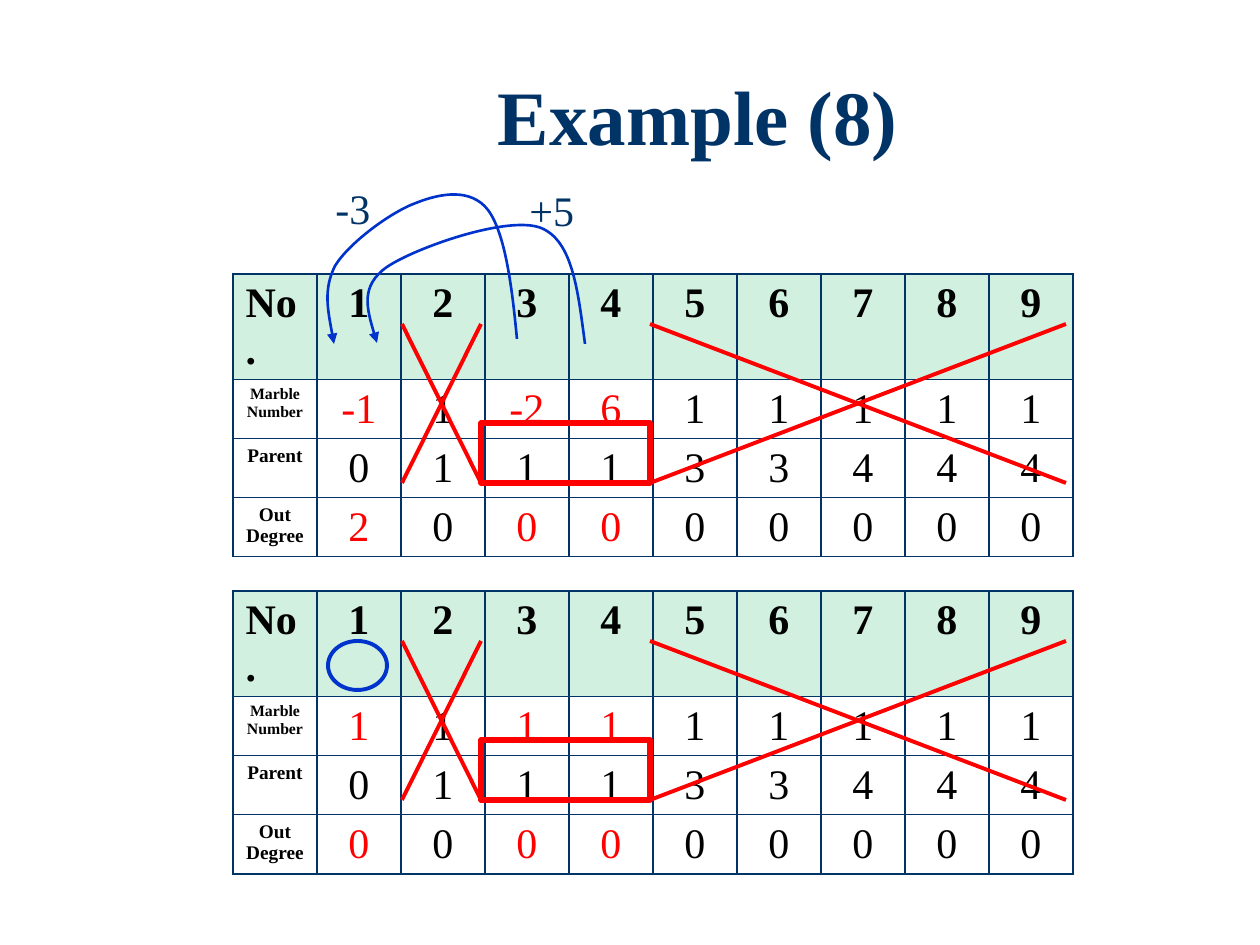
from dataclasses import dataclass

from lxml.etree import SubElement
from pptx import Presentation
from pptx.dml.color import RGBColor
from pptx.enum.shapes import MSO_CONNECTOR, MSO_SHAPE
from pptx.enum.text import MSO_ANCHOR, MSO_AUTO_SIZE, PP_ALIGN
from pptx.oxml.ns import qn
from pptx.slide import Slide
from pptx.util import Pt

EMU_PER_PX = 914400 / 126
STRAIGHT = MSO_CONNECTOR.STRAIGHT
RECTANGLE, OVAL = MSO_SHAPE.RECTANGLE, MSO_SHAPE.OVAL
LEFT, CENTER = PP_ALIGN.LEFT, PP_ALIGN.CENTER
TOP = MSO_ANCHOR.TOP
FIT_SHAPE, NO_FIT = MSO_AUTO_SIZE.SHAPE_TO_FIT_TEXT, MSO_AUTO_SIZE.NONE
Point = tuple[int, int]


@dataclass(frozen=True)
class Theme:
    font: str = "Times New Roman"
    navy: str = "003366"
    blue: str = "0033CC"
    red: str = "FF0000"
    black: str = "000000"
    white: str = "FFFFFF"
    mint: str = "D1F0E0"
    title_size: int = 44
    text_size: int = 24
    label_size: int = 11
    small_label_size: int = 9


@dataclass(frozen=True)
class Row:
    label: str
    label_size: int
    values: tuple[int, ...]
    red_columns: tuple[int, ...] = ()
    is_header: bool = False


@dataclass(frozen=True)
class Step:
    top: int
    marbles: tuple[int, ...]
    root_degree: int


@dataclass(frozen=True)
class Move:
    label: str
    label_box: tuple[int, int, int, int]
    start: Point
    curves: tuple[tuple[Point, Point, Point], ...]


THEME = Theme()
TABLE_LEFT, COLUMN_WIDTH, ROW_HEIGHT = 233, 84, 53
CHANGED_COLUMNS = (1, 3, 4)
NODES = tuple(range(1, 10))
PARENTS = (0, 1, 1, 1, 3, 3, 4, 4, 4)
STEPS = (
    Step(274, (-1, 1, -2, 6, 1, 1, 1, 1, 1), 2),
    Step(591, (1,) * 9, 0),
)
CROSSED_SPANS = ((650, 1066), (402, 481))
CROSS_TOP, CROSS_HEIGHT = 50, 159
MOVES = (
    Move("+5", (517, 178, 71, 63), (585, 344), (
        ((578, 292), (573, 241), (541, 228)),
        ((508, 215), (415, 248), (387, 267)),
        ((360, 286), (368, 314), (377, 343)),
    )),
    Move("-3", (323, 176, 60, 63), (517, 339), (
        ((512, 286), (505, 233), (488, 210)),
        ((471, 188), (441, 193), (416, 203)),
        ((391, 212), (349, 243), (335, 266)),
        ((323, 290), (329, 316), (334, 344)),
    )),
)


def px(*lengths: int) -> list[int]:
    return [round(length * EMU_PER_PX) for length in lengths]


def rgb(color: str) -> RGBColor:
    return RGBColor.from_string(color)


def style_paragraph(paragraph, size: int, color: str, bold: bool, align) -> None:
    paragraph.alignment = align
    font = paragraph.font
    font.name, font.size, font.bold = THEME.font, Pt(size), bold
    font.color.rgb = rgb(color)


def style_line(line, color: str, width: float) -> None:
    line.color.rgb = rgb(color)
    line.width = Pt(width)


def add_title(slide: Slide, text: str) -> None:
    title = slide.shapes.title
    title.left, title.top, title.width, title.height = px(194, 66, 1008, 116)
    frame = title.text_frame
    frame.text = text
    frame.auto_size = NO_FIT
    frame.vertical_anchor = TOP
    frame.margin_top = px(13)[0]
    paragraph = frame.paragraphs[0]
    paragraph.line_spacing = 0.9
    style_paragraph(paragraph, THEME.title_size, THEME.navy, True, CENTER)


def add_borders(cell) -> None:
    properties = cell._tc.get_or_add_tcPr()
    for index, side in enumerate(("a:lnL", "a:lnR", "a:lnT", "a:lnB")):
        border = SubElement(properties, qn(side), w=str(Pt(1)))
        fill = SubElement(border, qn("a:solidFill"))
        SubElement(fill, qn("a:srgbClr"), val=THEME.navy)
        properties.insert(index, border)


def fill_cell(cell, text: str, size: int, color: str, bold: bool, align, background: str) -> None:
    cell.text = text
    for paragraph in cell.text_frame.paragraphs:
        style_paragraph(paragraph, size, color, bold, align)
    cell.fill.solid()
    cell.fill.fore_color.rgb = rgb(background)
    add_borders(cell)


def add_step_table(slide: Slide, step: Step) -> None:
    rows = (
        Row("No.", THEME.text_size, NODES, is_header=True),
        Row("Marble\nNumber", THEME.small_label_size, step.marbles, CHANGED_COLUMNS),
        Row("Parent", THEME.label_size, PARENTS),
        Row("Out\nDegree", THEME.label_size, (step.root_degree,) + (0,) * 8, CHANGED_COLUMNS),
    )
    column_count = len(NODES) + 1
    table = slide.shapes.add_table(len(rows), column_count, *px(
        TABLE_LEFT, step.top, COLUMN_WIDTH * column_count, ROW_HEIGHT * len(rows))).table
    table.first_row = table.horz_banding = False
    for row_index, row in enumerate(rows):
        background = THEME.mint if row.is_header else THEME.white
        fill_cell(table.cell(row_index, 0), row.label, row.label_size, THEME.black, True,
                  LEFT if row.is_header else CENTER, background)
        for column, value in enumerate(row.values, start=1):
            color = THEME.red if column in row.red_columns else THEME.black
            fill_cell(table.cell(row_index, column), str(value), THEME.text_size, color,
                      row.is_header, CENTER, background)


def add_outline(slide: Slide, kind, box: tuple[int, ...], color: str, width: float) -> None:
    shape = slide.shapes.add_shape(kind, *px(*box))
    shape.shadow.inherit = False
    shape.fill.background()
    style_line(shape.line, color, width)


def add_line(slide: Slide, start: Point, end: Point) -> None:
    connector = slide.shapes.add_connector(STRAIGHT, *px(*start, *end))
    style_line(connector.line, THEME.red, 2.25)
    SubElement(connector.element.spPr, qn("a:effectLst"))


def add_step(slide: Slide, step: Step) -> None:
    add_step_table(slide, step)
    add_outline(slide, RECTANGLE, (481, step.top + 149, 169, 60), THEME.red, 3)
    top = step.top + CROSS_TOP
    bottom = top + CROSS_HEIGHT
    for left, right in CROSSED_SPANS:
        add_line(slide, (left, top), (right, bottom))
        add_line(slide, (left, bottom), (right, top))


def add_move(slide: Slide, move: Move) -> None:
    ends = [curve[-1] for curve in move.curves]
    builder = slide.shapes.build_freeform(*move.start, scale=EMU_PER_PX)
    builder.add_line_segments(ends, close=False)
    arrow = builder.convert_to_shape()
    left, top = (min(values) for values in zip(move.start, *ends))
    segments = list(arrow.element.iter(qn("a:lnTo")))
    for segment, curve in zip(segments, move.curves):
        bezier = SubElement(segment.getparent(), qn("a:cubicBezTo"))
        for x, y in curve:
            SubElement(bezier, qn("a:pt"), x=str(x - left), y=str(y - top))
        segment.getparent().replace(segment, bezier)
    arrow.shadow.inherit = False
    arrow.fill.background()
    style_line(arrow.line, THEME.blue, 1.5)
    SubElement(arrow.get_or_add_ln(), qn("a:tailEnd"), type="triangle")

    frame = slide.shapes.add_textbox(*px(*move.label_box)).text_frame
    frame.word_wrap = False
    frame.auto_size = FIT_SHAPE
    frame.text = move.label
    style_paragraph(frame.paragraphs[0], THEME.text_size, THEME.navy, False, LEFT)


def main() -> None:
    deck = Presentation()
    deck.slide_width, deck.slide_height = px(1260, 945)
    slide = deck.slides.add_slide(deck.slide_layouts[5])
    add_title(slide, "Example (8)")
    for step in STEPS:
        add_step(slide, step)
    add_outline(slide, OVAL, (328, 641, 59, 49), THEME.blue, 2.25)
    for move in MOVES:
        add_move(slide, move)
    deck.save("out.pptx")


if __name__ == "__main__":
    main()
